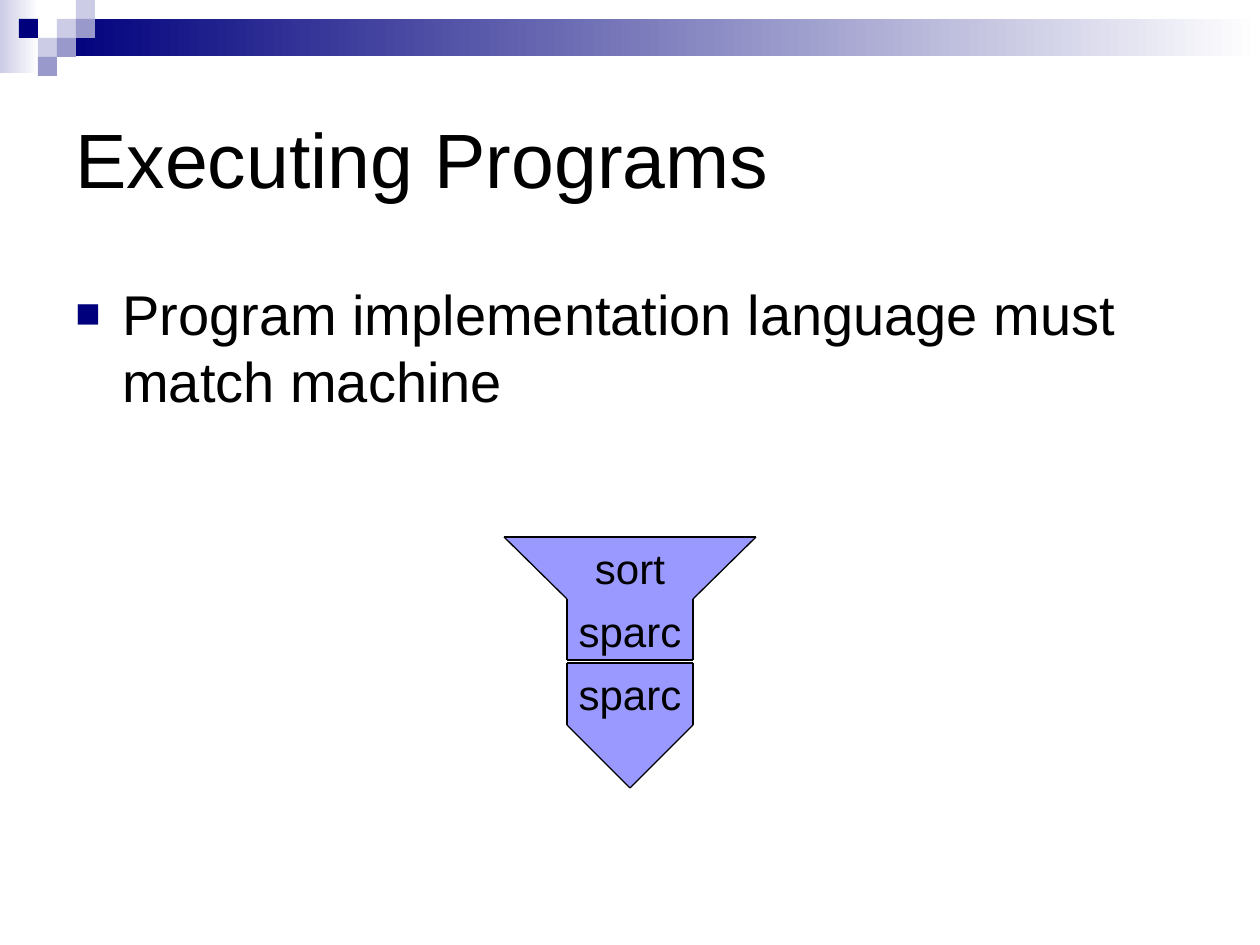
import itertools
from dataclasses import dataclass

import pptx
import pptx.dml.color
import pptx.enum.shapes
import pptx.enum.text
import pptx.oxml
import pptx.oxml.ns
import pptx.util

EMU_PER_PX = 914400 / 126
SLIDE_SIZE = (1260, 945)


@dataclass(frozen=True)
class Theme:
    font: str = "Arial"
    title_size: int = 44
    body_size: int = 32
    label_size: int = 24
    outline_width: float = 0.75
    text: str = "000000"
    white: str = "FFFFFF"
    navy: str = "00007D"
    lavender: str = "CCCCE6"
    slate: str = "9999CC"
    block: str = "9999FF"


THEME = Theme()


def emu(px):
    return pptx.util.Emu(round(px * EMU_PER_PX))


def rgb(value):
    return pptx.dml.color.RGBColor.from_string(value)


def add_rectangle(slide, box, color, fade_to=None):
    """Add a borderless rectangle, optionally fading from left to right."""
    shape = slide.shapes.add_shape(
        pptx.enum.shapes.MSO_SHAPE.RECTANGLE, *map(emu, box))
    shape.shadow.inherit = False
    shape.line.fill.background()
    if fade_to is None:
        shape.fill.solid()
        shape.fill.fore_color.rgb = rgb(color)
    else:
        shape.fill.gradient()
        shape.fill.gradient_angle = 0
        for stop, stop_color, position in zip(
                shape.fill.gradient_stops, (color, fade_to), (0, 1)):
            stop.color.rgb = rgb(stop_color)
            stop.position = position


def add_polygon(slide, points):
    builder = slide.shapes.build_freeform(*points[0], scale=EMU_PER_PX)
    builder.add_line_segments(points[1:], close=True)
    shape = builder.convert_to_shape()
    shape.shadow.inherit = False
    shape.fill.solid()
    shape.fill.fore_color.rgb = rgb(THEME.block)
    shape.line.fill.background()


def add_outline(slide, points):
    """Trace a closed outline with one line per side."""
    for start, end in itertools.pairwise(points + points[:1]):
        line = slide.shapes.add_connector(
            pptx.enum.shapes.MSO_CONNECTOR.STRAIGHT,
            *map(emu, start + end))
        line.line.color.rgb = rgb(THEME.text)
        line.line.width = pptx.util.Pt(THEME.outline_width)
        properties = line._element.spPr
        properties.append(pptx.oxml.parse_xml(
            f"<a:effectLst {pptx.oxml.ns.nsdecls('a')}/>"))


def add_text(slide, box, text, size, middle=True):
    frame = slide.shapes.add_textbox(*map(emu, box)).text_frame
    frame.word_wrap = True
    anchors = pptx.enum.text.MSO_ANCHOR
    frame.vertical_anchor = anchors.MIDDLE if middle else anchors.TOP
    frame.text = text
    paragraph = frame.paragraphs[0]
    font = paragraph.runs[0].font
    font.name = THEME.font
    font.size = pptx.util.Pt(size)
    font.color.rgb = rgb(THEME.text)
    return frame


def add_label(slide, box, text):
    """Add a centred one-line label that grows with its text."""
    frame = add_text(slide, box, text, THEME.label_size)
    frame.word_wrap = False
    frame.auto_size = pptx.enum.text.MSO_AUTO_SIZE.SHAPE_TO_FIT_TEXT
    frame.paragraphs[0].alignment = pptx.enum.text.PP_ALIGN.CENTER


def add_bullet(paragraph, indent):
    properties = paragraph._p.get_or_add_pPr()
    properties.set("marL", str(emu(indent)))
    properties.set("indent", str(-emu(indent)))
    namespace = pptx.oxml.ns.nsdecls("a")
    for xml in (
            f'<a:buClr {namespace}><a:srgbClr val="{THEME.navy}"/></a:buClr>',
            f'<a:buSzPct {namespace} val="75000"/>',
            f'<a:buFont {namespace} typeface="{THEME.font}"/>',
            f'<a:buChar {namespace} char="■"/>'):
        properties.append(pptx.oxml.parse_xml(xml))


def add_header(slide):
    """Draw the fading bands and the checkered corner."""
    tile = 19
    add_rectangle(slide, (0, 0, 39, 73), THEME.lavender, THEME.white)
    add_rectangle(slide, (57, tile, SLIDE_SIZE[0] - 57, 37),
                  THEME.navy, THEME.white)
    tiles = ((3, 1, THEME.lavender), (4, 0, THEME.lavender),
             (4, 1, THEME.slate), (2, 2, THEME.lavender),
             (1, 1, THEME.navy), (3, 2, THEME.slate), (2, 3, THEME.slate))
    for column, row, color in tiles:
        add_rectangle(slide, (column * tile, row * tile, tile, tile), color)


def add_program(slide):
    """Draw the funnel: program on top, implementation language below."""
    points = [(504, 537), (756, 537), (693, 599),
              (693, 660), (567, 660), (567, 599)]
    add_rectangle(slide, (567, 599, 126, 61), THEME.block)
    add_label(slide, (566, 599, 128, 63), "sparc")
    add_polygon(slide, points[:3] + points[5:])
    add_label(slide, (582, 536, 96, 63), "sort")
    add_outline(slide, points)


def add_machine(slide):
    """Draw the machine as a block with a pointed base."""
    points = [(567, 663), (693, 663), (693, 725), (630, 788), (567, 725)]
    add_rectangle(slide, (567, 663, 126, 62), THEME.block)
    add_label(slide, (566, 662, 128, 63), "sparc")
    add_polygon(slide, points[2:])
    add_outline(slide, points)


def main():
    presentation = pptx.Presentation()
    presentation.slide_width, presentation.slide_height = map(emu, SLIDE_SIZE)
    slide = presentation.slides.add_slide(presentation.slide_layouts[6])

    add_header(slide)

    # Title and bullet
    add_text(slide, (63, 63, 1134, 189), "Executing Programs",
             THEME.title_size)
    body = add_text(slide, (63, 273, 1134, 536),
                    "Program implementation language must match machine",
                    THEME.body_size, middle=False)
    add_bullet(body.paragraphs[0], 47)

    # Program stacked on its machine
    add_program(slide)
    add_machine(slide)

    presentation.save("out.pptx")


if __name__ == "__main__":
    main()
